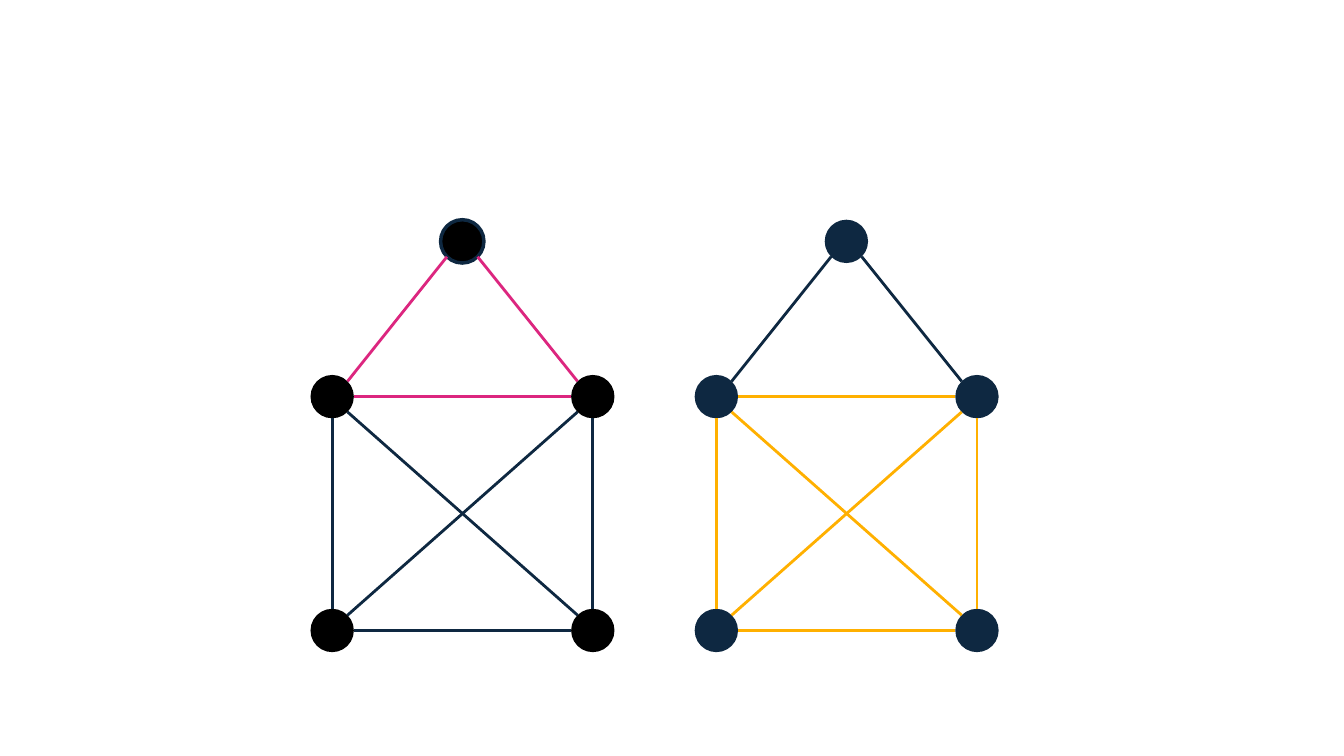
import math

import pptx
import pptx.dml.color
import pptx.enum.shapes
import pptx.oxml.ns
import pptx.util
from pptx.util import Inches
from lxml import etree

NAVY, BLACK, PINK, AMBER = "0E2841", "000000", "DC267F", "FFB000"
DIAMETER = 0.43
RADIUS = DIAMETER / 2

# Node centres relative to the top-left corner of a house
NODES = {
    "apex": (1.505, 0.215),
    "upper_left": (0.215, 1.755),
    "upper_right": (2.8, 1.755),
    "lower_left": (0.215, 4.075),
    "lower_right": (2.8, 4.075),
}
ROOF = [("upper_left", "apex"), ("upper_right", "apex")]
CEILING = [("upper_right", "upper_left")]
BODY = [
    ("lower_left", "upper_left"),
    ("lower_right", "upper_right"),
    ("lower_right", "lower_left"),
    ("lower_right", "upper_left"),
    ("upper_right", "lower_left"),
]


def rgb(color):
    return pptx.dml.color.RGBColor.from_string(color)


def add_node(group, x, y, fill, outline=None):
    s = group.shapes.add_shape(
        pptx.enum.shapes.MSO_SHAPE.OVAL,
        Inches(x - RADIUS), Inches(y - RADIUS), Inches(DIAMETER), Inches(DIAMETER))
    s.shadow.inherit = False
    s.fill.solid()
    s.fill.fore_color.rgb = rgb(fill)
    if outline:
        s.line.color.rgb = rgb(outline)
        s.line.width = pptx.util.Pt(2.5)
    else:
        s.line.fill.background()


def add_edge(group, start, end, color):
    """Join the rims of two nodes, at the sides or at the 45-degree points."""
    signs = [(b > a) - (b < a) for a, b in zip(start, end)]
    reach = RADIUS / math.hypot(*signs)
    x1, y1 = (a + sign * reach for a, sign in zip(start, signs))
    x2, y2 = (b - sign * reach for b, sign in zip(end, signs))
    line = group.shapes.add_connector(
        pptx.enum.shapes.MSO_CONNECTOR.STRAIGHT,
        Inches(x1), Inches(y1), Inches(x2), Inches(y2))
    line.line.color.rgb = rgb(color)
    line.line.width = pptx.util.Pt(2)
    etree.SubElement(line._element.spPr, pptx.oxml.ns.qn("a:effectLst"))


def add_house(slide, left, top, fill, edge_sets, apex_outline=None):
    group = slide.shapes.add_group_shape()
    centres = {name: (left + x, top + y) for name, (x, y) in NODES.items()}
    for name, (x, y) in centres.items():
        add_node(group, x, y, fill, apex_outline if name == "apex" else None)
    for edges, color in edge_sets:
        for start, end in edges:
            add_edge(group, centres[start], centres[end], color)


def main():
    prs = pptx.Presentation()
    prs.slide_width, prs.slide_height = Inches(13.33), Inches(7.5)
    slide = prs.slides.add_slide(prs.slide_layouts[6])

    # Left house: triangle highlighted
    add_house(slide, 3.08, 2.18, BLACK,
              [(ROOF + CEILING, PINK), (BODY, NAVY)], apex_outline=NAVY)
    # Right house: four-node clique highlighted
    add_house(slide, 6.89, 2.18, NAVY,
              [(ROOF, NAVY), (CEILING + BODY, AMBER)])

    prs.save("out.pptx")


if __name__ == "__main__":
    main()
